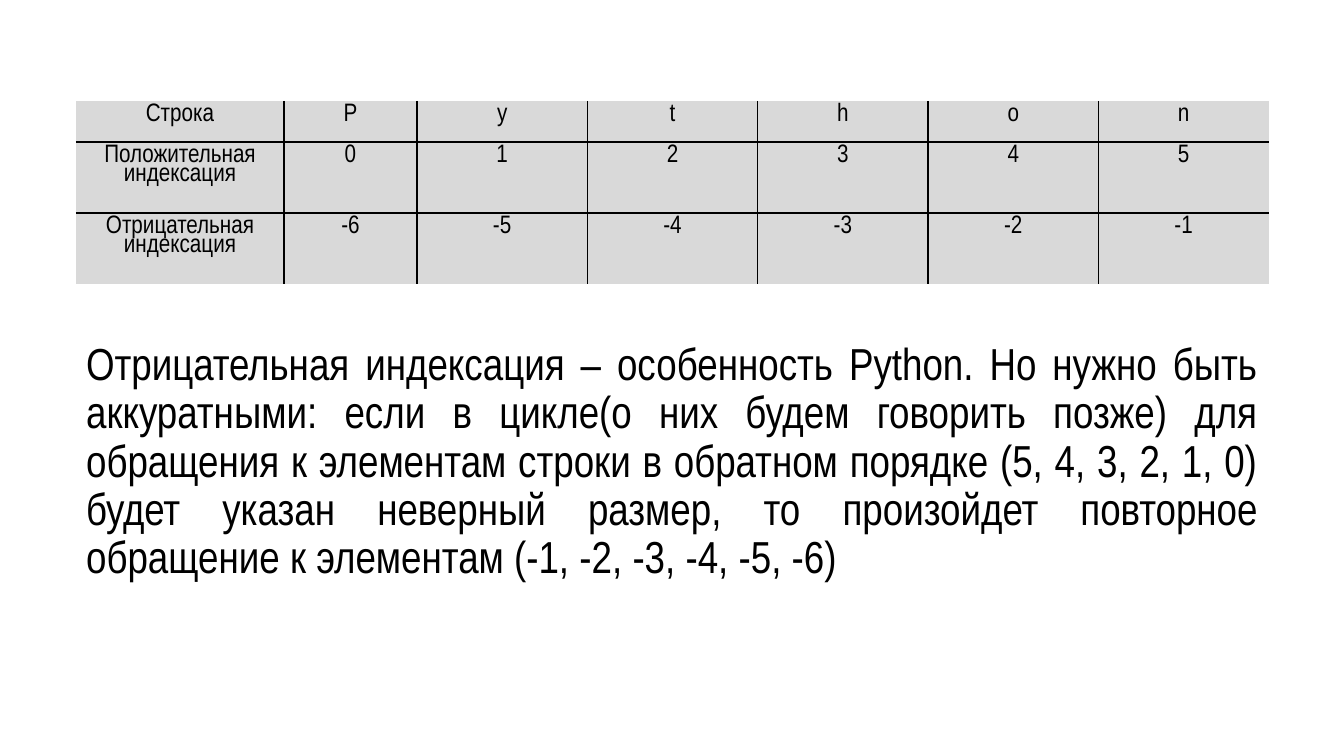
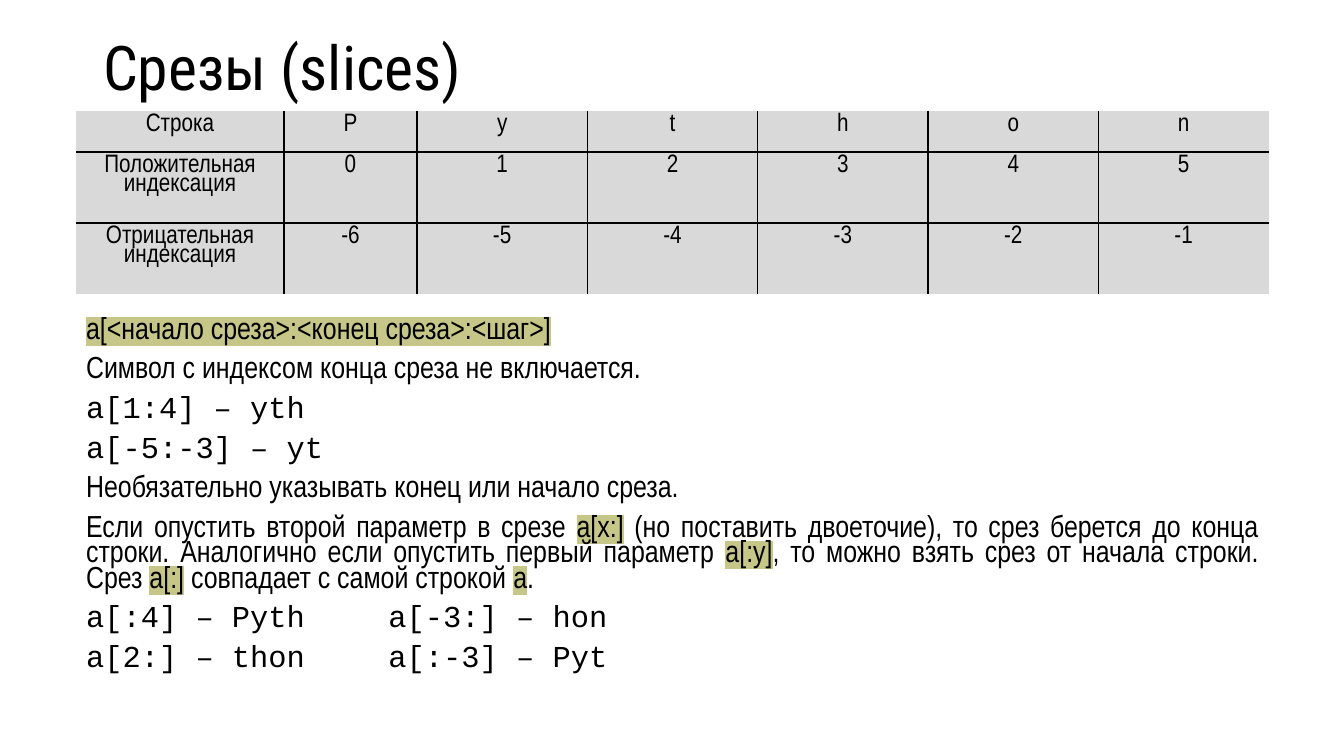
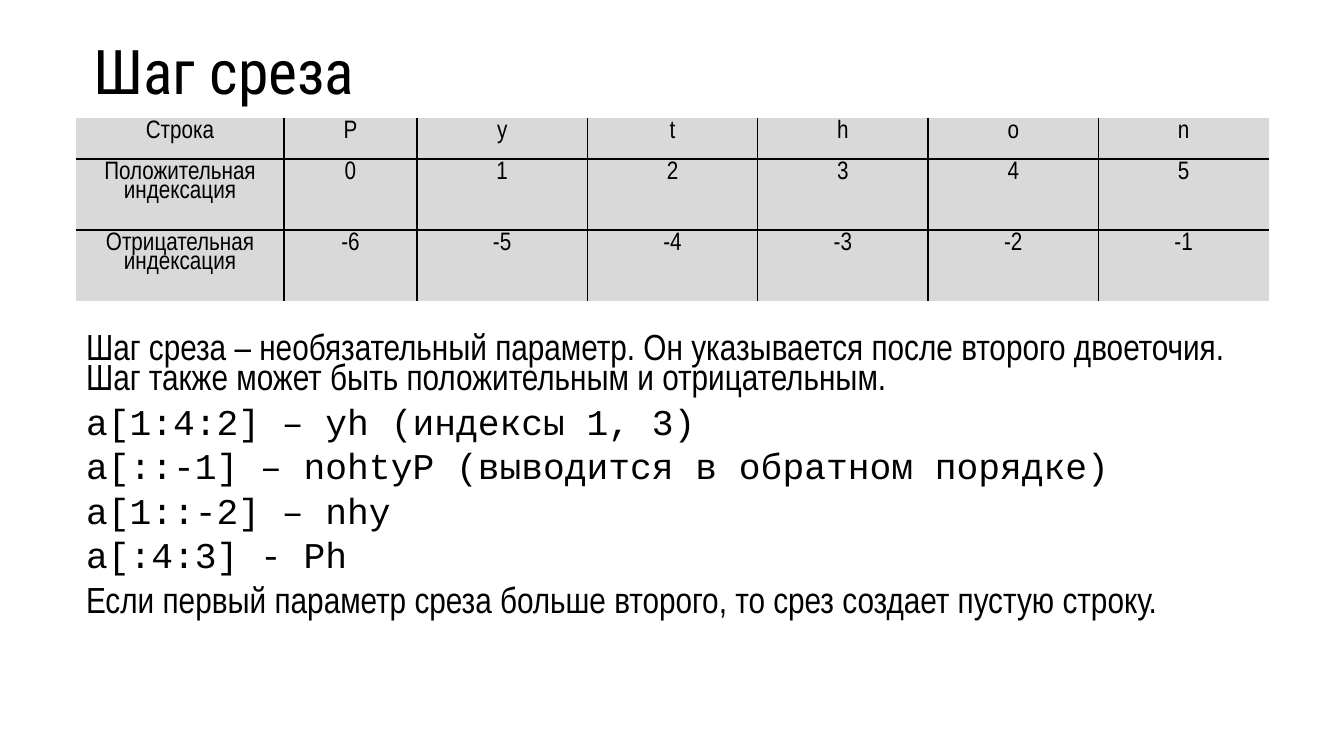
from dataclasses import dataclass

from lxml.etree import SubElement
from pptx import Presentation
from pptx.dml.color import RGBColor
from pptx.enum.text import MSO_ANCHOR, MSO_AUTO_SIZE, PP_ALIGN
from pptx.oxml.ns import qn
from pptx.util import Emu, Inches, Pt

SCALE = Inches(1) / 100.8


@dataclass(frozen=True)
class Theme:
    """Colours, fonts and type sizes shared by the slides."""
    ink: str = "000000"
    cell: str = "D9D9D9"
    mark: str = "C5C688"
    head: str = "Roboto Condensed"
    text: str = "Arial Narrow"
    code: str = "Courier New"
    title: float = 44
    lead: float = 32
    list: float = 25.9
    dense: float = 21.7
    table: float = 18
    rule: float = 1
    gap: float = 10


THEME = Theme()
LEFT, WIDE = 76, 1193
HEADS = (208, 133)
ROWS = (41, 71, 71)
TABS = (302, 403)
GRID = (
    ("Строка", *"Python"),
    ("Положительная индексация", *map(str, range(6))),
    ("Отрицательная индексация", *map(str, range(-6, 0))),
)
LEAD = (
    "Отрицательная индексация – особенность Python. Но нужно быть аккуратными: "
    "если в цикле(о них будем говорить позже) для обращения к элементам строки "
    "в обратном порядке (5, 4, 3, 2, 1, 0) будет указан неверный размер, то "
    "произойдет повторное обращение к элементам (-1, -2, -3, -4, -5, -6)"
)
SLICE = (
    [("a[<начало среза>:<конец среза>:<шаг>]", "mark")],
    [("Символ с индексом конца среза не включается.", "text")],
    [("a[1:4] – yth", "code")],
    [("a[-5:-3] – yt", "code")],
    [("Необязательно указывать конец или начало среза.", "text")],
    [
        ("Если опустить второй параметр в срезе ", "text"),
        ("a[x:]", "mark"),
        (" (но поставить двоеточие), то срез берется до конца строки. "
         "Аналогично если опустить первый параметр ", "text"),
        ("a[:y]", "mark"),
        (", то можно взять срез от начала строки. Срез ", "text"),
        ("a[:]", "mark"),
        (" совпадает с самой строкой ", "text"),
        ("a", "mark"),
        (".", "text"),
    ],
    [("a[:4] – Pyth\t\ta[-3:] – hon", "code")],
    [("a[2:] – thon\t\ta[:-3] – Pyt", "code")],
)
STEP = (
    [("Шаг среза – необязательный параметр. Он указывается после второго "
      "двоеточия. Шаг также может быть положительным и отрицательным.", "text")],
    [("a[1:4:2] – yh (индексы 1, 3)", "code")],
    [("a[::-1] – nohtyP (выводится в обратном порядке)", "code")],
    [("a[1::-2] – nhy", "code")],
    [("a[:4:3] - Ph", "code")],
    [("Если первый параметр среза больше второго, то срез создает пустую "
      "строку.", "text")],
)


def px(size):
    """Turn pixels into EMU."""
    return Emu(round(size * SCALE))


def place(shape, box):
    """Move a placeholder and fix its text frame; return the frame."""
    shape.left, shape.top, shape.width, shape.height = map(px, box)
    frame = shape.text_frame
    frame.word_wrap = True
    frame.auto_size = MSO_AUTO_SIZE.NONE
    return frame


def add_run(para, text, size, kind="text"):
    """Add one run in the font of its kind, highlighted if marked."""
    run = para.add_run()
    run.text = text
    font = run.font
    font.size = Pt(size)
    font.bold = False
    font.color.rgb = RGBColor.from_string(THEME.ink)
    font.name = THEME.text if kind == "mark" else getattr(THEME, kind)
    if kind == "mark":
        props = run._r.get_or_add_rPr()
        glow = SubElement(props, qn("a:highlight"))
        SubElement(glow, qn("a:srgbClr"), val=THEME.mark)
        props.find(qn("a:latin")).addprevious(glow)


def add_title(slide, box, text, kind="head", size=THEME.title, align=PP_ALIGN.LEFT):
    """Fill the title placeholder."""
    frame = place(slide.shapes.title, box)
    frame.vertical_anchor = MSO_ANCHOR.MIDDLE
    para = frame.paragraphs[0]
    para.alignment = align
    para.line_spacing = 0.9
    add_run(para, text, size, kind)


def add_body(slide, box, lines, size, align):
    """Fill the body placeholder with paragraphs that have no bullets."""
    frame = place(slide.placeholders[1], box)
    frame.vertical_anchor = MSO_ANCHOR.TOP
    for num, line in enumerate(lines):
        para = frame.add_paragraph() if num else frame.paragraphs[0]
        para.alignment = align
        para.line_spacing = 0.7
        para.space_before = Pt(THEME.gap)
        props = para._p.get_or_add_pPr()
        props.set("marL", "0")
        props.set("indent", "0")
        SubElement(props, qn("a:buNone"))
        stops = SubElement(props, qn("a:tabLst"))
        for tab in TABS:
            SubElement(stops, qn("a:tab"), pos=str(px(tab)), algn="l")
        for text, kind in line:
            add_run(para, text, size, kind)


def add_edge(cell, side, drawn):
    """Draw or clear one cell border."""
    props = cell._tc.get_or_add_tcPr()
    line = SubElement(props, qn(f"a:ln{side}"), w=str(Pt(THEME.rule)))
    if drawn:
        fill = SubElement(line, qn("a:solidFill"))
        SubElement(fill, qn("a:srgbClr"), val=THEME.ink)
    else:
        SubElement(line, qn("a:noFill"))


def add_grid(slide, top):
    """Add the index table with inner rules only."""
    high, wide = len(GRID), len(GRID[0])
    frame = slide.shapes.add_table(
        high, wide, px(LEFT), px(top), px(WIDE), px(sum(ROWS)))
    table = frame.table
    table.first_row = table.horz_banding = False
    rest = wide - len(HEADS)
    spans = HEADS + ((WIDE - sum(HEADS)) / rest,) * rest
    for col, span in zip(table.columns, spans):
        col.width = px(span)
    for row, size in zip(table.rows, ROWS):
        row.height = px(size)
    for y, line in enumerate(GRID):
        for x, text in enumerate(line):
            cell = table.cell(y, x)
            add_edge(cell, "L", x > 0)
            add_edge(cell, "R", x < wide - 1)
            add_edge(cell, "T", y > 0)
            add_edge(cell, "B", y < high - 1)
            cell.fill.solid()
            cell.fill.fore_color.rgb = RGBColor.from_string(THEME.cell)
            para = cell.text_frame.paragraphs[0]
            para.alignment = PP_ALIGN.CENTER
            para.line_spacing = 0.8
            add_run(para, text, THEME.table)


def main():
    """Build the three slides and save them."""
    deck = Presentation()
    deck.slide_width, deck.slide_height = px(1344), px(756)
    full, bare = deck.slide_layouts[1], deck.slide_layouts[5]

    slide = deck.slides.add_slide(bare)
    add_title(slide, (LEFT, 322, WIDE, 281), LEAD, "text", THEME.lead,
              PP_ALIGN.JUSTIFY)
    add_grid(slide, 101)

    slide = deck.slides.add_slide(full)
    add_title(slide, (93, 10, 1159, 122), "Срезы (slices)")
    add_body(slide, (LEFT, 314, WIDE, 394), SLICE, THEME.dense, PP_ALIGN.JUSTIFY)
    add_grid(slide, 111)

    slide = deck.slides.add_slide(full)
    add_title(slide, (83, 2, 1159, 146), "Шаг среза")
    add_body(slide, (LEFT, 331, WIDE, 374), STEP, THEME.list, PP_ALIGN.LEFT)
    add_grid(slide, 118)

    deck.save("out.pptx")


if __name__ == "__main__":
    main()
